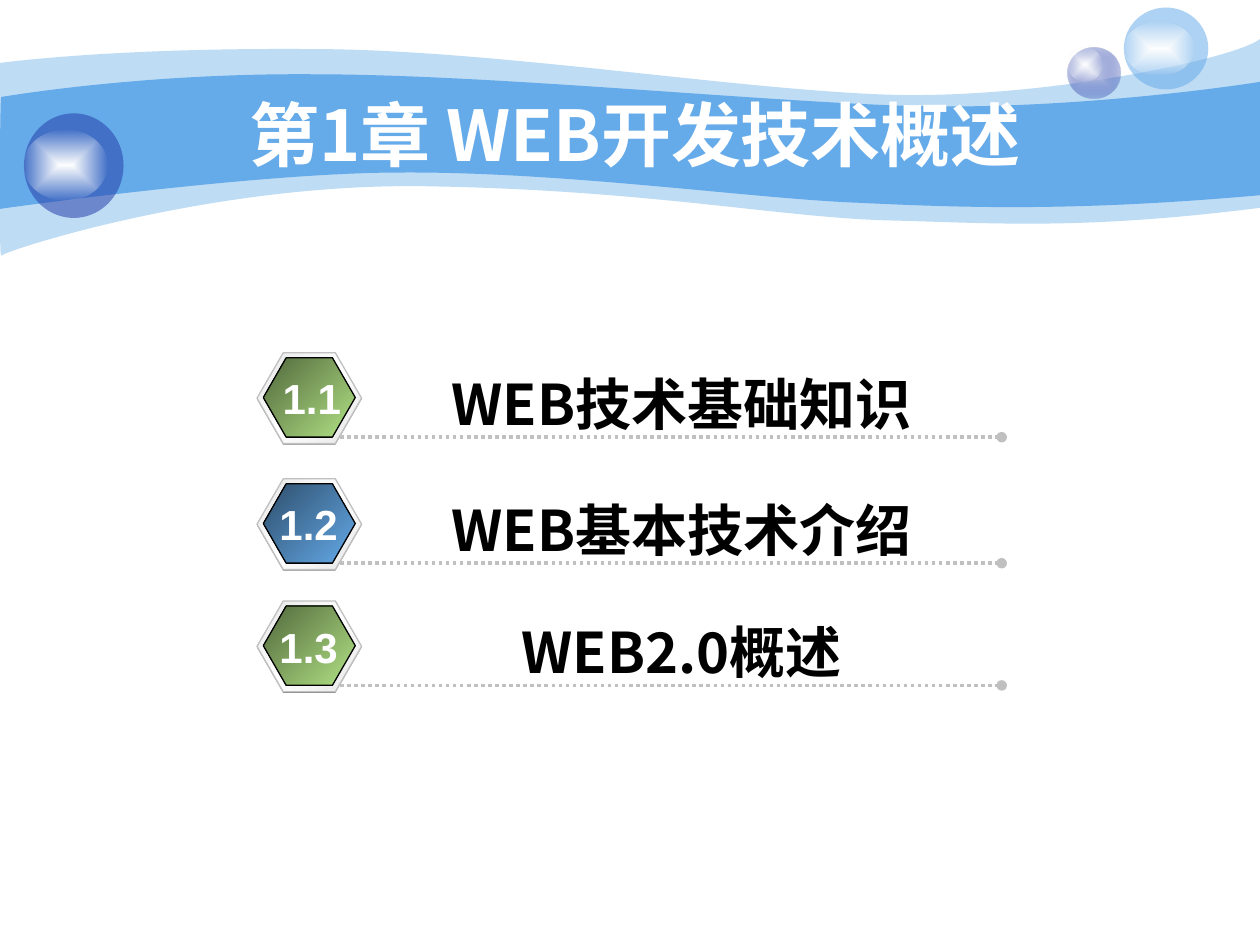
from lxml import etree
from pptx import Presentation
from pptx import util as u
from pptx.dml.color import RGBColor
from pptx.enum import dml, shapes, text
from pptx.oxml import parse_xml
from pptx.oxml.ns import nsdecls, qn

THEME = {
    "sky": "65AAE9", "navy": "233DA9", "silver": "C0C0C0", "shade": "808080",
    "white": "FFFFFF", "black": "000000",
    "cjk": "Noto Sans CJK SC", "latin": "Arial",
    "title": 40, "item": 32, "number": 24,
}
GREEN = [(0, "B2E385", 100), (100, "52683D", 100)]
BLUE = [(0, THEME["sky"], 100), (100, "2E4E6B", 100)]
RIM = [(0, "E6E6E6", 100), (50, "FFFFFF", 100), (100, "E6E6E6", 100)]
GLOW = [(0, "FFFFFF", 100), (100, "FEFEFE", 0)]
LILAC = [(0, "C6CCE8", 100), (100, THEME["navy"], 31)]

TITLE = "第1章 WEB开发技术概述"
ITEMS = [
    ("1.1", "WEB技术基础知识", GREEN, 2.8, (2.04, 0.87, True)),
    ("1.2", "WEB基本技术介绍", BLUE, 3.8, (2.12, 0.66, False)),
    ("1.3", "WEB2.0概述", GREEN, 4.77, (2.12, 0.66, False)),
]
WAVES = [
    (41, [(0, 0.5),
          (0.24, 0.47, 1.07, 0.38, 2.47, 0.39), (3.86, 0.39, 5.75, 0.7, 6.99, 0.75),
          (8.22, 0.8, 9.8, 0.47, 10, 0.31), (10, 1.65),
          (8.58, 1.83, 7.87, 1.77, 7.05, 1.75), (6.22, 1.73, 5.15, 1.51, 3.43, 1.48),
          (1.72, 1.44, 0.04, 1.99, 0.01, 2.03), (-0.01, 2.08, 0, 0.75, 0, 0.5)]),
    (100, [(0.01, 0.77),
           (0.02, 0.77, 1.1, 0.58, 2.48, 0.59), (3.86, 0.59, 5.95, 0.8, 7.18, 0.84),
           (8.41, 0.88, 9.76, 0.69, 10, 0.65), (10, 1.55),
           (8.53, 1.68, 7.65, 1.65, 6.82, 1.61), (5.99, 1.58, 4.47, 1.36, 3.17, 1.37),
           (2.03, 1.37, -0.02, 1.66, -0.01, 1.66), (0, 1.66, 0, 0.77, 0.01, 0.77)]),
]
BALLS = [
    ((8.47, 0.38, 0.42, 0.4), (8.47, 0.38, 0.28, 0.27), LILAC, 100),
    ((8.92, 0.06, 0.67, 0.65), (8.92, 0.17, 0.56, 0.43), THEME["sky"], 53),
    ((0.19, 0.9, 0.79, 0.83), (0.19, 1.03, 0.66, 0.56), THEME["navy"], 53),
]
RECT_PATH = ('<a:path path="rect"><a:fillToRect l="50000" t="50000" '
             'r="50000" b="50000"/></a:path>')
DIAGONAL = '<a:lin ang="13500000" scaled="1"/>'


def inches(box):
    return [u.Inches(v) for v in box]


def set_fill(sp, fill, direction=DIAGONAL, alpha=100):
    if isinstance(fill, str):
        sp.fill.solid()
        sp.fill.fore_color.rgb = RGBColor.from_string(fill)
        if alpha < 100:
            color = sp._element.spPr.find(".//" + qn("a:srgbClr"))
            etree.SubElement(color, qn("a:alpha"), val=str(alpha * 1000))
        return
    stops = "".join(
        f'<a:gs pos="{pos * 1000}"><a:srgbClr val="{c}"><a:alpha val="{a * 1000}"/>'
        f'</a:srgbClr></a:gs>' for pos, c, a in fill)
    sp.fill.background()
    sp._element.spPr.replace(
        sp._element.spPr.find(qn("a:noFill")),
        parse_xml(f'<a:gradFill {nsdecls("a")} rotWithShape="1"><a:gsLst>{stops}</a:gsLst>'
                  f'{direction}</a:gradFill>'))


def set_line(sp, color=None, width=0.75):
    if color is None:
        sp.line.fill.background()
    else:
        sp.line.color.rgb = RGBColor.from_string(color)
        sp.line.width = u.Pt(width)


def add_shape(group, kind, box, fill, direction=DIAGONAL, alpha=100, line=None):
    sp = group.shapes.add_shape(kind, *inches(box))
    sp.shadow.inherit = False
    set_fill(sp, fill, direction, alpha)
    set_line(sp, line)
    return sp


def add_wave(s, alpha, segments):
    points = [inches(seg[i:i + 2]) for seg in segments for i in range(0, len(seg), 2)]
    builder = s.shapes.build_freeform(*points[0])
    builder.add_line_segments(points[1:], close=True)
    sp = builder.convert_to_shape()
    lines = iter(list(sp._element.spPr.iter(qn("a:lnTo"))))
    for seg in segments[1:]:
        curve = next(lines)
        if len(seg) == 6:
            curve.tag = qn("a:cubicBezTo")
            for extra in (next(lines), next(lines)):
                curve.append(extra[0])
                extra.getparent().remove(extra)
    sp.shadow.inherit = False
    set_fill(sp, THEME["sky"], alpha=alpha)
    set_line(sp)
    return sp


def add_ball(s, body, glow, fill, alpha):
    ball = s.shapes.add_group_shape()
    add_shape(ball, shapes.MSO_SHAPE.OVAL, body, fill, RECT_PATH, alpha)
    add_shape(ball, shapes.MSO_SHAPE.OVAL, glow, GLOW, RECT_PATH)
    return ball


def move_to_layout(layout, decorations):
    tree = layout.shapes._spTree
    for i, sp in enumerate(decorations):
        tree.insert(2 + i, sp._element)
    for i, props in enumerate(tree.iter(qn("p:cNvPr")), 1):
        props.set("id", str(i))


def set_text(sp, content, size, font, color, anchor=text.MSO_ANCHOR.TOP, wrap=True,
             fit=text.MSO_AUTO_SIZE.SHAPE_TO_FIT_TEXT):
    tf = sp.text_frame
    frame = {"word_wrap": wrap, "vertical_anchor": anchor, "auto_size": fit,
             "margin_left": u.Inches(0.1), "margin_right": u.Inches(0.1),
             "margin_top": u.Inches(0.05), "margin_bottom": u.Inches(0.05)}
    for name, value in frame.items():
        setattr(tf, name, value)
    p = tf.paragraphs[0]
    p.alignment = text.PP_ALIGN.CENTER
    r = p.add_run()
    r.text = content
    for name, value in {"size": u.Pt(size), "bold": True, "name": font}.items():
        setattr(r.font, name, value)
    r.font.color.rgb = RGBColor.from_string(color)
    etree.SubElement(r._r.get_or_add_rPr(), qn("a:ea"), typeface=font)


def add_rule(s, y):
    ln = s.shapes.add_connector(shapes.MSO_CONNECTOR.STRAIGHT, *inches((2.7, y, 7.95, y)))
    set_line(ln, THEME["silver"], 2)
    ln.line.dash_style = dml.MSO_LINE.ROUND_DOT
    etree.SubElement(ln.line._get_or_add_ln(), qn("a:tailEnd"), type="oval")
    etree.SubElement(ln._element.spPr, qn("a:effectLst"))


def add_item(s, number, label, fill, top, number_box):
    badge = s.shapes.add_group_shape()
    for box, paint, line, adj in (
            ((2.04, top + 0.01, 0.83, 0.72), THEME["shade"], None, 0.289),
            ((2.04, top, 0.83, 0.72), RIM, THEME["silver"], 0.289),
            ((2.09, top + 0.04, 0.73, 0.63), fill, THEME["black"], 0.288)):
        sp = add_shape(badge, shapes.MSO_SHAPE.HEXAGON, box, paint, line=line)
        sp.adjustments[0] = adj
    add_rule(s, top + 0.67)
    left, width, wrap = number_box
    box = s.shapes.add_textbox(*inches((2.95, top + 0.08, 4.92, 0.64)))
    set_text(box, label, THEME["item"], THEME["cjk"], THEME["black"])
    box = s.shapes.add_textbox(*inches((left, top + 0.11, width, 0.5)))
    set_text(box, number, THEME["number"], THEME["latin"], THEME["white"], wrap=wrap)


def main():
    prs = Presentation()
    prs.slide_width, prs.slide_height = inches((10, 7.5))
    layout = prs.slide_layouts[5]
    s = prs.slides.add_slide(layout)
    waves = [add_wave(s, *wave) for wave in WAVES]
    balls = [add_ball(s, *ball) for ball in BALLS]
    move_to_layout(layout, waves + balls)
    title = s.shapes.title
    title.left, title.top, title.width, title.height = inches((1, 0.75, 8.08, 0.62))
    set_text(title, TITLE, THEME["title"], THEME["cjk"], THEME["white"],
             text.MSO_ANCHOR.MIDDLE, fit=text.MSO_AUTO_SIZE.NONE)
    for item in ITEMS:
        add_item(s, *item)
    prs.save("out.pptx")


if __name__ == "__main__":
    main()
